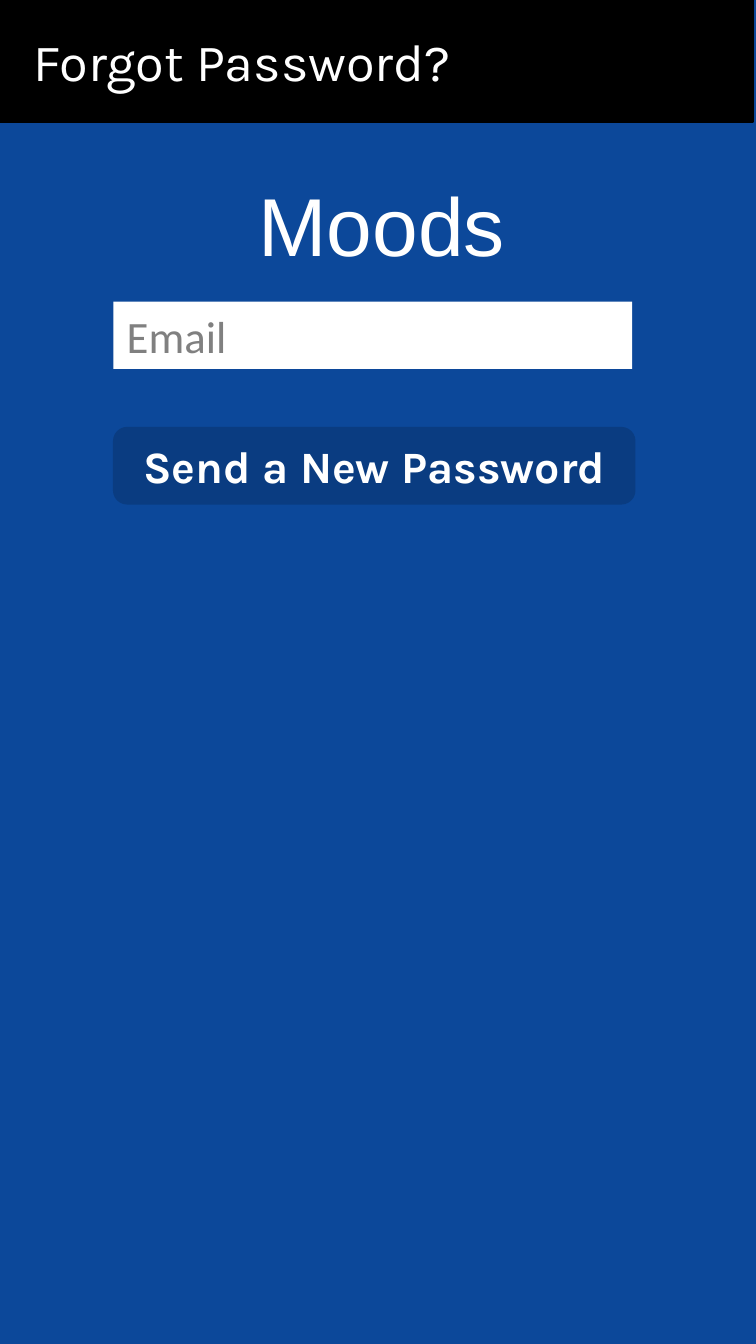
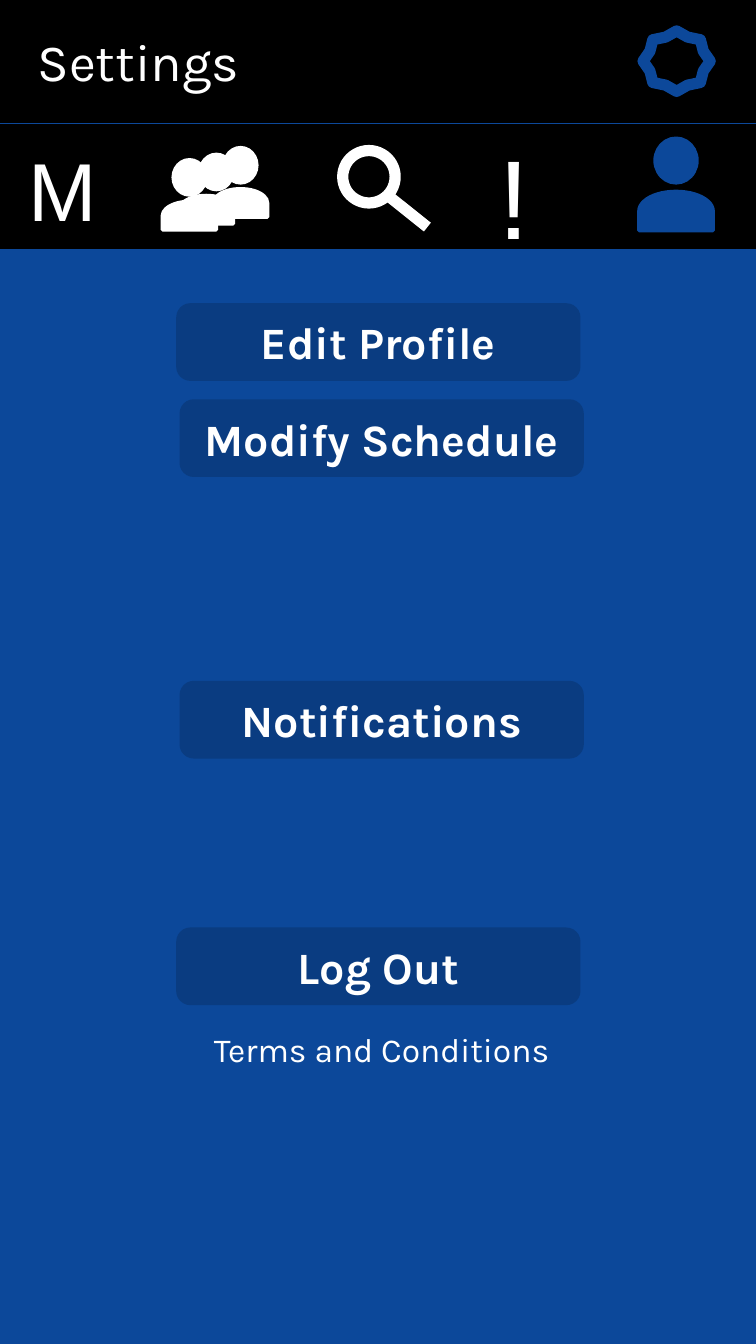
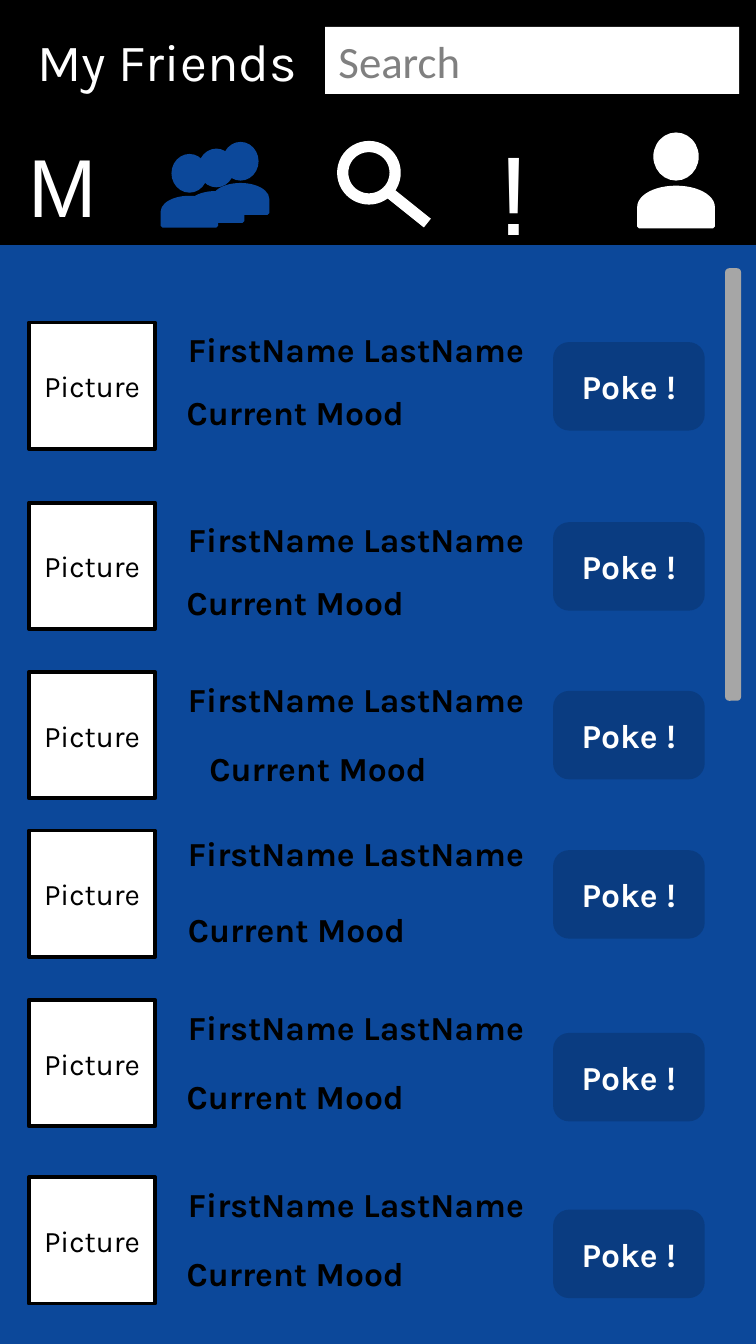
from typing import NamedTuple

from lxml import etree
from pptx import Presentation
from pptx.dml.color import RGBColor
from pptx.enum.shapes import MSO_CONNECTOR, MSO_SHAPE
from pptx.enum.text import MSO_ANCHOR, MSO_AUTO_SIZE, PP_ALIGN
from pptx.oxml.ns import qn
from pptx.shapes.autoshape import Shape
from pptx.shapes.shapetree import GroupShapes, SlideShapes
from pptx.slide import Slide
from pptx.text.text import TextFrame
from pptx.util import Emu, Pt

SCALE = 4572  # EMU in one px, 200 px to the inch
WIDTH, HEIGHT = 1125, 2000
BAND = 181
TITLE_ONLY = 5

BLUE = RGBColor(0x0C, 0x48, 0x9A)
NAVY = RGBColor(0x0A, 0x3C, 0x81)
BLACK = RGBColor(0, 0, 0)
WHITE = RGBColor(0xFF, 0xFF, 0xFF)
GRAY = RGBColor(0x80, 0x80, 0x80)
SILVER = RGBColor(0xA6, 0xA6, 0xA6)

RECT = MSO_SHAPE.RECTANGLE
ROUND = MSO_SHAPE.ROUNDED_RECTANGLE
OVAL = MSO_SHAPE.OVAL
DELAY = MSO_SHAPE.FLOWCHART_DELAY
STAR = MSO_SHAPE.STAR_8_POINT
STRAIGHT = MSO_CONNECTOR.STRAIGHT
LEFT, CENTER = PP_ALIGN.LEFT, PP_ALIGN.CENTER
TOP, MIDDLE = MSO_ANCHOR.TOP, MSO_ANCHOR.MIDDLE
GROW, FIXED = MSO_AUTO_SIZE.SHAPE_TO_FIT_TEXT, MSO_AUTO_SIZE.NONE

Shapes = SlideShapes | GroupShapes


class Box(NamedTuple):
    left: int
    top: int
    width: int
    height: int


class Type(NamedTuple):
    face: str
    size: int
    color: RGBColor
    bold: bool = False


class Nav(NamedTuple):
    band: int
    top: int
    friends: RGBColor
    me: RGBColor
    mid: tuple[int, int]  # body of the middle friend


class Friend(NamedTuple):
    photo: int
    name: int
    mood: tuple[int, int]
    poke: int


HEAD = Type("Karla", 28, WHITE)
LARGE = Type("Arial", 44, WHITE)
ALERT = Type("Arial", 60, WHITE)
INPUT = Type("Calibri", 24, GRAY)
ACTION = Type("Karla", 24, WHITE, True)
POKE = Type("Karla", 18, WHITE, True)
LABEL = Type("Karla", 18, BLACK, True)
TERMS = Type("Karla", 18, WHITE)
PHOTO = Type("Karla", 16, BLACK)

FRIENDS = [
    Friend(480, 480, (258, 574), 512),
    Friend(748, 762, (258, 856), 780),
    Friend(1000, 1000, (292, 1103), 1031),
    Friend(1236, 1230, (260, 1343), 1268),
    Friend(1488, 1488, (258, 1592), 1540),
    Friend(1752, 1752, (258, 1855), 1803),
]
SETTINGS = [
    ("Edit Profile", 265, 454),
    ("Modify Schedule", 270, 597),
    ("Notifications", 270, 1016),
    ("Log Out", 265, 1383),
]


def px(*sizes: int) -> list[Emu]:
    return [Emu(size * SCALE) for size in sizes]


def write(frame: TextFrame, text: str, style: Type, align: PP_ALIGN = LEFT,
          anchor: MSO_ANCHOR = MIDDLE, fit: MSO_AUTO_SIZE = FIXED) -> None:
    frame.word_wrap = True
    frame.auto_size = fit
    frame.vertical_anchor = anchor
    para = frame.paragraphs[0]
    para.text = text
    para.alignment = align
    font = para.font
    font.name, font.size, font.bold = style.face, Pt(style.size), style.bold
    font.color.rgb = style.color


def paint(shape: Shape, fill: RGBColor, line: RGBColor | None, weight: int = 2) -> None:
    shape.shadow.inherit = False
    shape.fill.solid()
    shape.fill.fore_color.rgb = fill
    if line is None:
        shape.line.fill.background()
    else:
        shape.line.color.rgb = line
        shape.line.width = Pt(weight)


def draw(shapes: Shapes, kind: MSO_SHAPE, box: Box, fill: RGBColor,
         line: RGBColor | None, weight: int = 2) -> Shape:
    shape = shapes.add_shape(kind, *px(*box))
    paint(shape, fill, line, weight)
    return shape


def label(shapes: Shapes, box: Box, text: str, style: Type, align: PP_ALIGN = LEFT,
          anchor: MSO_ANCHOR = TOP, fit: MSO_AUTO_SIZE = GROW) -> None:
    write(shapes.add_textbox(*px(*box)).text_frame, text, style, align, anchor, fit)


def button(shapes: Shapes, box: Box, text: str, style: Type = ACTION) -> None:
    write(draw(shapes, ROUND, box, NAVY, NAVY).text_frame, text, style, CENTER)


def field(shapes: Shapes, box: Box, text: str) -> None:
    shape = draw(shapes, RECT, box, WHITE, None)
    write(shape.text_frame, text, INPUT, anchor=TOP, fit=GROW)


def screen(prs: Presentation, title: str, left: int = 0) -> Slide:
    """Add a slide whose title is the black band at the top."""
    slide = prs.slides.add_slide(prs.slide_layouts[TITLE_ONLY])
    head = slide.shapes.title
    head.left, head.top, head.width, head.height = px(left, 0, WIDTH, BAND)
    paint(head, BLACK, BLACK)
    write(head.text_frame, title, HEAD)
    head.text_frame.margin_left = px(56)[0]
    return slide


def torso(shapes: Shapes, box: Box, color: RGBColor) -> None:
    draw(shapes, DELAY, box, color, color).rotation = 270


def lens(shapes: Shapes, top: int) -> None:
    """Draw the search icon."""
    draw(shapes, OVAL, Box(510, top + 18, 78, 78), BLACK, WHITE, 6)
    grip = shapes.add_connector(STRAIGHT, *px(576, top + 84, 636, top + 132))
    grip.line.color.rgb = WHITE
    grip.line.width = Pt(6)
    etree.SubElement(grip._element.spPr, qn("a:effectLst"))


def crowd(shapes: Shapes, nav: Nav) -> None:
    """Draw the friends icon."""
    bodies = [(261, nav.top + 75), nav.mid, (337, nav.top + 56)]
    heads = [(258, 32), (298, 24), (334, 14)]
    for body, (left, drop) in zip(bodies, heads):
        torso(shapes, Box(*body, 42, 80), nav.friends)
        draw(shapes, OVAL, Box(left, nav.top + drop, 48, 52), nav.friends, nav.friends)


def menu(slide: Slide, nav: Nav) -> None:
    shapes = slide.shapes.add_group_shape().shapes
    top = nav.top
    draw(shapes, RECT, Box(0, nav.band, WIDTH, BAND), BLACK, BLACK)
    draw(shapes, OVAL, Box(975, top, 62, 66), nav.me, nav.me)
    torso(shapes, Box(977, top + 53, 58, 110), nav.me)
    label(shapes, Box(23, top - 8, 158, 168), "M", LARGE)
    lens(shapes, top)
    label(shapes, Box(722, top - 26, 94, 222), "!", ALERT)
    crowd(shapes, nav)


def forgot(prs: Presentation) -> None:
    shapes = screen(prs, "Forgot Password?", -6).shapes
    field(shapes, Box(169, 449, 772, 100), "Email")
    label(shapes, Box(90, 119, 956, 428), "Moods", LARGE, CENTER, MIDDLE, FIXED)
    button(shapes, Box(171, 638, 772, 110), "Send a New Password")


def settings(prs: Presentation) -> None:
    slide = screen(prs, "Settings")
    shapes = slide.shapes
    menu(slide, Nav(187, 206, WHITE, BLUE, (286, 272)))
    for text, left, top in SETTINGS:
        button(shapes, Box(left, top, 596, 110), text)
    label(shapes, Box(288, 1522, 560, 80), "Terms and Conditions", TERMS, CENTER)
    gear = draw(shapes, STAR, Box(957, 46, 100, 90), BLACK, BLUE, 6)
    gear.adjustments[0] = 0.43


def friends(prs: Presentation) -> None:
    slide = screen(prs, "My Friends")
    shapes = slide.shapes
    for row in FRIENDS:
        photo = draw(shapes, RECT, Box(43, row.photo, 188, 188), WHITE, BLACK)
        write(photo.text_frame, "Picture", PHOTO, CENTER)
        label(shapes, Box(260, row.name, 592, 80), "FirstName LastName", LABEL)
        label(shapes, Box(*row.mood, 592, 80), "Current Mood", LABEL)
        button(shapes, Box(826, row.poke, 220, 126), "Poke !", POKE)
    draw(shapes, ROUND, Box(1082, 402, 18, 638), SILVER, SILVER)
    field(shapes, Box(484, 40, 616, 100), "Search")
    menu(slide, Nav(181, 200, BLUE, WHITE, (300, 268)))


def main() -> None:
    prs = Presentation()
    prs.slide_width, prs.slide_height = px(WIDTH, HEIGHT)
    back = prs.slide_master.background.fill
    back.solid()
    back.fore_color.rgb = BLUE
    forgot(prs)
    settings(prs)
    friends(prs)
    prs.save("out.pptx")


if __name__ == "__main__":
    main()
